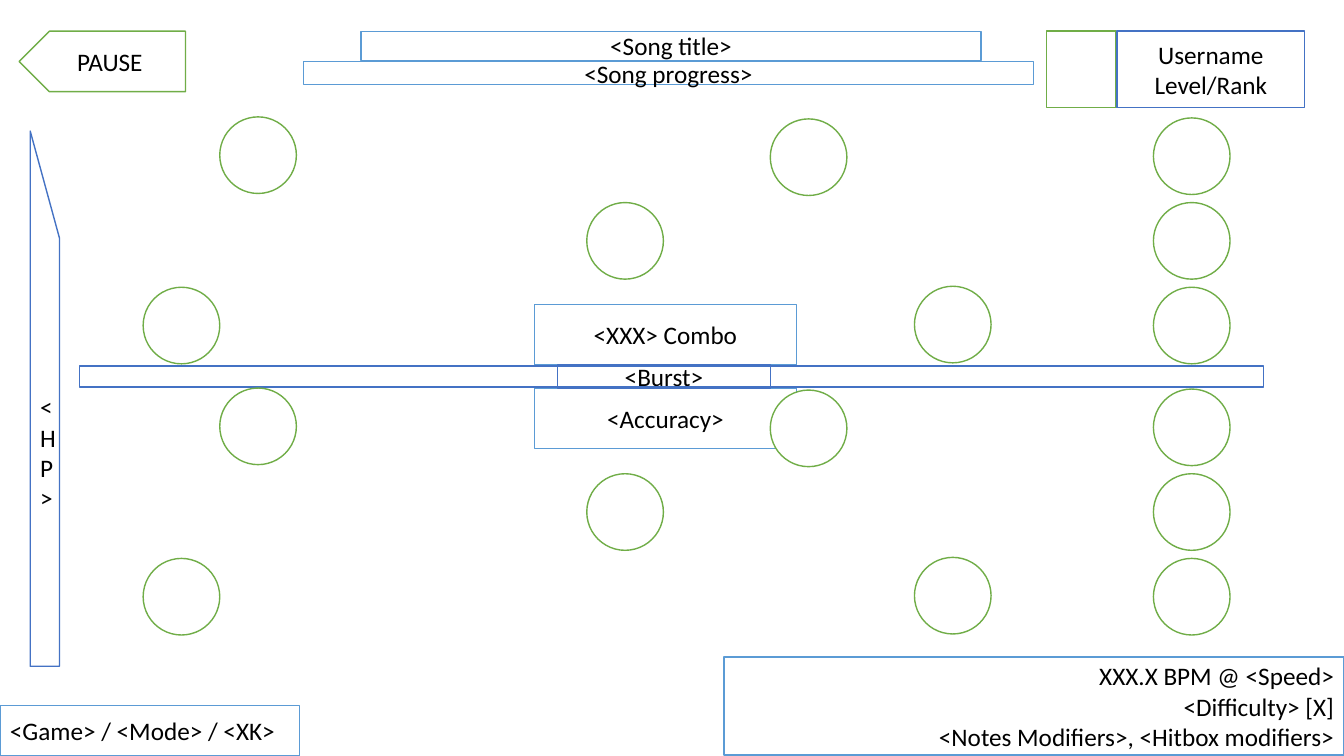
from pptx import Presentation
from pptx.dml.color import RGBColor
from pptx.enum.shapes import MSO_SHAPE as SHAPE
from pptx.enum.text import MSO_ANCHOR, PP_ALIGN as ALIGN
from pptx.util import Inches, Pt

COLORS = {"white": "FFFFFF", "black": "000000", "sky": "5B9BD5",
          "blue": "4472C4", "green": "70AD47"}

PANELS = [
    (SHAPE.RECTANGLE, (7.18, 6.52, 6.15, 0.97), "sky", "white",
     "XXX.X BPM @ <Speed>\n<Difficulty> [X]\n<Notes Modifiers>, <Hitbox modifiers>", ALIGN.RIGHT),
    (SHAPE.PENTAGON, (0.19, 0.31, 1.65, 0.6), "green", "white", "PAUSE", ALIGN.CENTER),
    (SHAPE.RECTANGLE, (10.38, 0.31, 0.69, 0.76), "green", "white", "", ALIGN.CENTER),
    (SHAPE.RECTANGLE, (11.08, 0.31, 1.86, 0.76), "blue", "white",
     "Username\nLevel/Rank", ALIGN.CENTER),
    (SHAPE.RECTANGLE, (0, 7, 2.97, 0.5), "sky", "white",
     "<Game> / <Mode> / <XK>", ALIGN.LEFT),
    (SHAPE.RECTANGLE, (3.58, 0.31, 6.15, 0.29), "sky", None, "<Song title>", ALIGN.CENTER),
    (SHAPE.RECTANGLE, (3.01, 0.61, 7.24, 0.23), "sky", None, "<Song progress>", ALIGN.CENTER),
    (SHAPE.FLOWCHART_MANUAL_INPUT, (0.3, 1.3, 0.29, 5.31), "blue", None, "<HP>", ALIGN.CENTER),
    (SHAPE.RECTANGLE, (5.3, 3.02, 2.6, 0.6), "sky", None, "<XXX> Combo", ALIGN.CENTER),
    (SHAPE.RECTANGLE, (5.3, 3.85, 2.6, 0.6), "sky", None, "<Accuracy>", ALIGN.CENTER),
    (SHAPE.RECTANGLE, (5.53, 3.62, 2.11, 0.23), "blue", None, "<Burst>", ALIGN.CENTER),
    (SHAPE.RECTANGLE, (0.79, 3.63, 11.74, 0.21), "blue", None, "", ALIGN.CENTER),
]
MIRRORED = (SHAPE.PENTAGON, SHAPE.FLOWCHART_MANUAL_INPUT)

NOTES = [(2.18, 1.16), (11.44, 1.17), (5.82, 2.01), (7.64, 1.18),
         (11.44, 2.01), (11.44, 2.85), (9.07, 2.84), (1.42, 2.85)]
NOTE_SIZE = 0.76
FIELD_OFFSETS = (0, 2.69)


def rgb(name):
    return RGBColor.from_string(COLORS[name])


def add_outlined(kind, box, line, fill):
    sp = slide.shapes.add_shape(kind, *map(Inches, box))
    sp.shadow.inherit = False
    sp.line.color.rgb = rgb(line)
    sp.line.width = Pt(1)
    if fill:
        sp.fill.solid()
        sp.fill.fore_color.rgb = rgb(fill)
    else:
        sp.fill.background()
    return sp


def set_label(sp, text, align):
    tf = sp.text_frame
    tf.word_wrap = True
    tf.vertical_anchor = MSO_ANCHOR.MIDDLE
    p = tf.paragraphs[0]
    p.text = text
    p.alignment = align
    p.font.name = "Calibri"
    p.font.size = Pt(18)
    p.font.color.rgb = rgb("black")


prs = Presentation()
prs.slide_width, prs.slide_height = Inches(13.33), Inches(7.5)
slide = prs.slides.add_slide(prs.slide_layouts[6])

for kind, box, line, fill, text, align in PANELS:
    sp = add_outlined(kind, box, line, fill)
    if kind in MIRRORED:
        sp.element.spPr.xfrm.set("flipH", "1")
    if text:
        set_label(sp, text, align)

for offset in FIELD_OFFSETS:
    for left, top in NOTES:
        add_outlined(SHAPE.OVAL, (left, top + offset, NOTE_SIZE, NOTE_SIZE), "green", "white")

prs.save("out.pptx")
